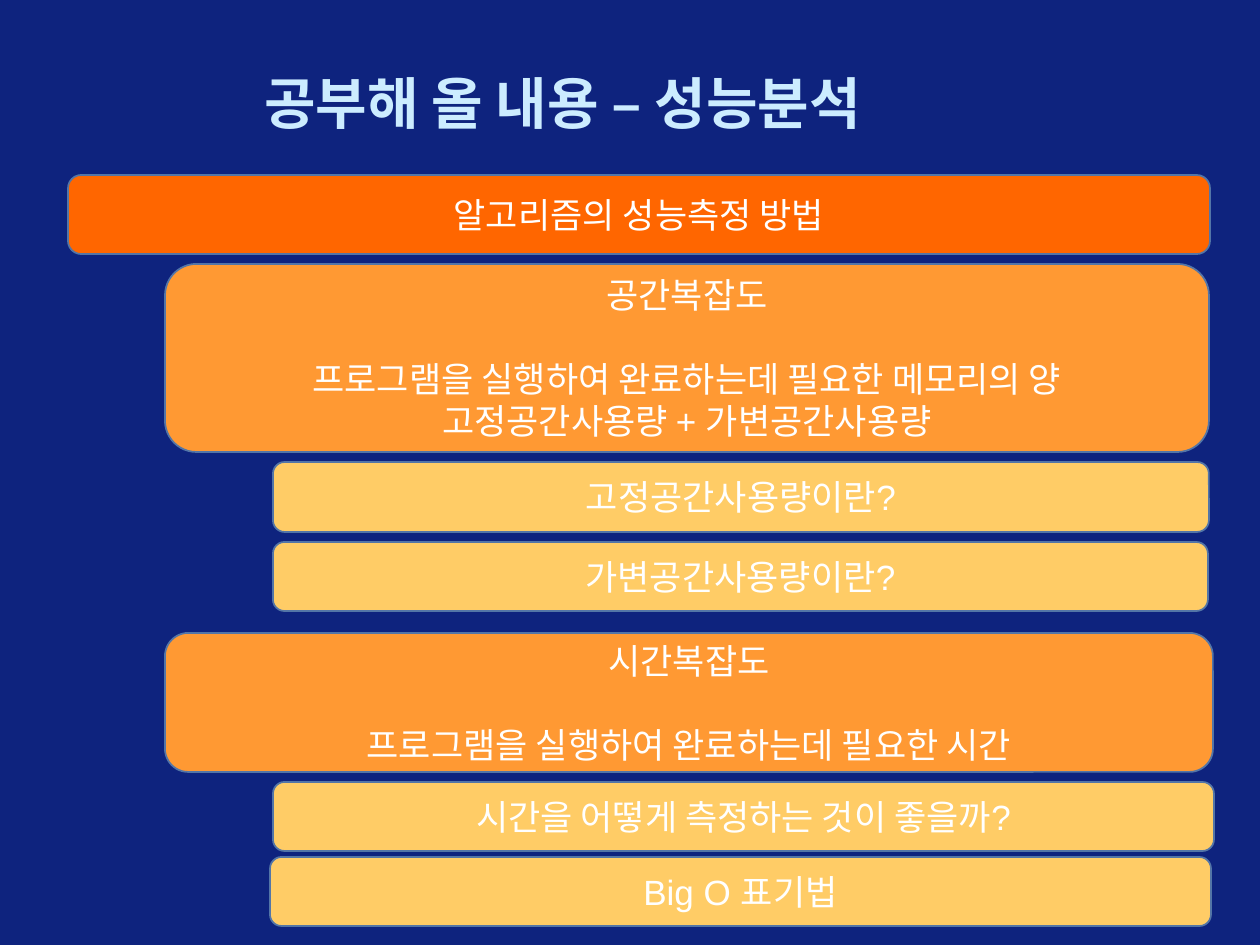
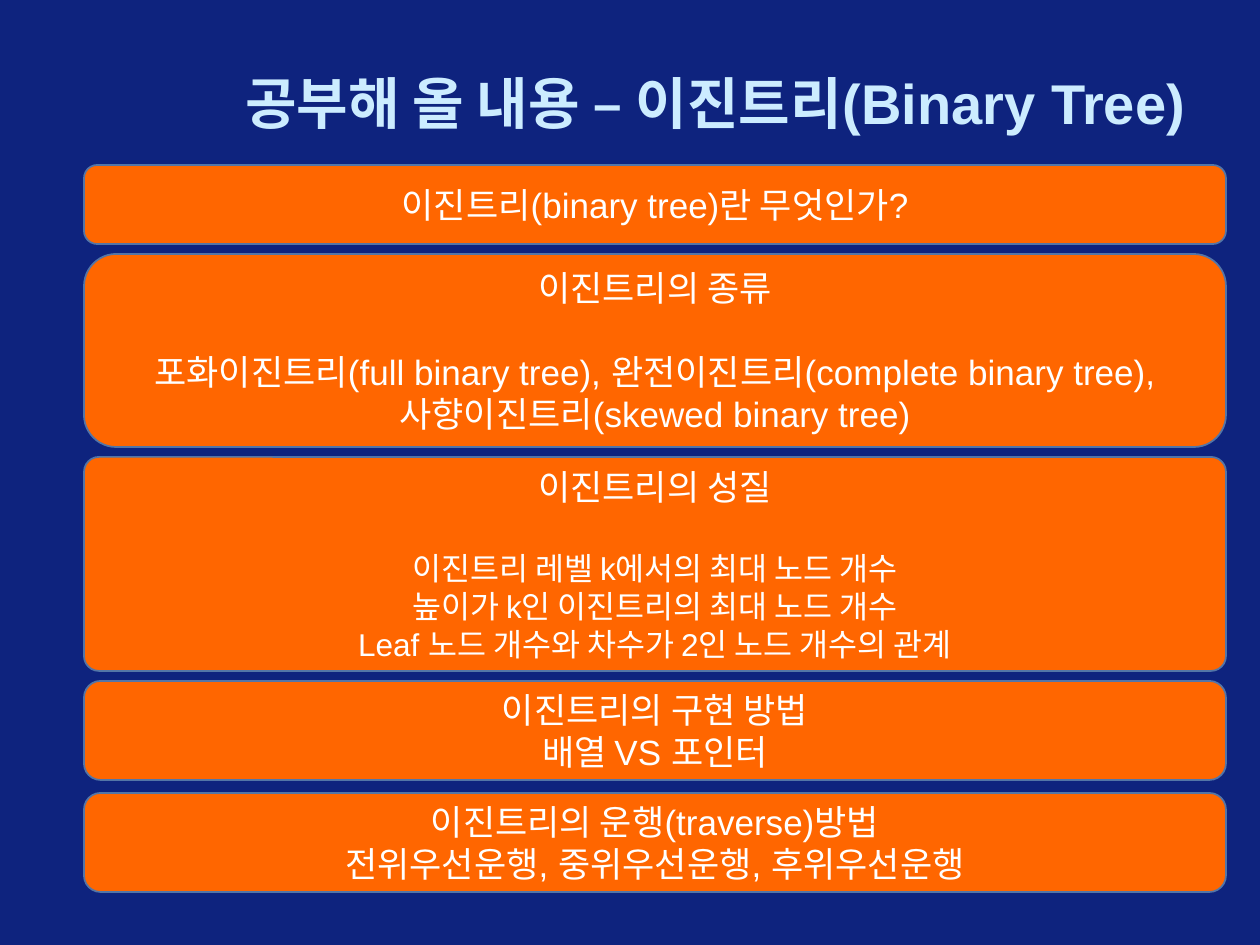
from pptx import Presentation
from pptx.dml.color import RGBColor
from pptx.enum.shapes import MSO_SHAPE
from pptx.enum.text import MSO_ANCHOR, PP_ALIGN
from pptx.util import Emu, Pt

PIXEL = 914400 // 126
FONT = "Arial"
NAVY = RGBColor(0x0E, 0x23, 0x7E)
PALE_BLUE = RGBColor(0xCC, 0xEC, 0xFF)
WHITE = RGBColor(0xFF, 0xFF, 0xFF)
OUTLINE = RGBColor(0x53, 0x75, 0xA7)
TOPIC = RGBColor(0xFF, 0x66, 0x00)
SUBTOPIC = RGBColor(0xFF, 0x99, 0x33)
QUESTION = RGBColor(0xFF, 0xCC, 0x66)
HEADING_GAP = Pt(24)


def add_line(paragraph, text, size, color, bold=False):
    """Write one run of text into a paragraph."""
    run = paragraph.add_run()
    run.text = text
    run.font.name = FONT
    run.font.size = Pt(size)
    run.font.bold = bold
    run.font.color.rgb = color


def add_box(slide, bounds, color, heading, details=(), gap=True, detail_size=20):
    """Add a rounded box with a heading and centred detail lines below it."""
    shape = slide.shapes.add_shape(
        MSO_SHAPE.ROUNDED_RECTANGLE, *[Emu(value * PIXEL) for value in bounds])
    shape.shadow.inherit = False
    shape.fill.solid()
    shape.fill.fore_color.rgb = color
    shape.line.color.rgb = OUTLINE
    shape.line.width = Pt(1)
    frame = shape.text_frame
    frame.word_wrap = True
    frame.vertical_anchor = MSO_ANCHOR.MIDDLE
    for index, text in enumerate([heading, *details]):
        paragraph = frame.paragraphs[0] if index == 0 else frame.add_paragraph()
        paragraph.alignment = PP_ALIGN.CENTER
        if index == 1 and gap:
            paragraph.space_before = HEADING_GAP
        add_line(paragraph, text, 20 if index == 0 else detail_size, WHITE)
    return shape


presentation = Presentation()
presentation.slide_width = Emu(1260 * PIXEL)
presentation.slide_height = Emu(945 * PIXEL)
background = presentation.slide_master.background.fill
background.solid()
background.fore_color.rgb = NAVY

# Slides with their titles
titles = [
    ("공부해 올 내용 – 성능분석", 252, 955),
    ("공부해 올 내용 – 이진트리(Binary Tree)", 233, 1003),
]
slides = []
for title, left, width in titles:
    slide = presentation.slides.add_slide(presentation.slide_layouts[6])
    title_box = slide.shapes.add_textbox(
        *[Emu(value * PIXEL) for value in (left, 63, width, 78)])
    frame = title_box.text_frame
    frame.word_wrap = True
    frame.vertical_anchor = MSO_ANCHOR.MIDDLE
    add_line(frame.paragraphs[0], title, 32, PALE_BLUE, bold=True)
    slides.append(slide)
performance_slide, tree_slide = slides

# Performance analysis: boxes indented by level
performance_boxes = [
    ((68, 175, 1142, 79), TOPIC, "알고리즘의 성능측정 방법", []),
    ((165, 264, 1044, 188), SUBTOPIC, "공간복잡도",
     ["프로그램을 실행하여 완료하는데 필요한 메모리의 양",
      "고정공간사용량 + 가변공간사용량"]),
    ((273, 462, 936, 70), QUESTION, "고정공간사용량이란?", []),
    ((273, 542, 935, 69), QUESTION, "가변공간사용량이란?", []),
    ((165, 633, 1048, 139), SUBTOPIC, "시간복잡도",
     ["프로그램을 실행하여 완료하는데 필요한 시간"]),
    ((273, 782, 941, 69), QUESTION, "시간을 어떻게 측정하는 것이 좋을까?", []),
    ((270, 857, 941, 69), QUESTION, "Big O 표기법", []),
]
for bounds, color, heading, details in performance_boxes:
    add_box(performance_slide, bounds, color, heading, details)

# Binary tree: one column of equally wide boxes
tree_boxes = [
    (165, 79, "이진트리(binary tree)란 무엇인가?", [], False, 20),
    (254, 193, "이진트리의 종류",
     ["포화이진트리(full binary tree), 완전이진트리(complete binary tree),",
      "사향이진트리(skewed binary tree)"], True, 20),
    (457, 214, "이진트리의 성질",
     ["이진트리 레벨 k에서의 최대 노드 개수",
      "높이가 k인 이진트리의 최대 노드 개수",
      "Leaf 노드 개수와 차수가 2인 노드 개수의 관계"], True, 18),
    (681, 99, "이진트리의 구현 방법", ["배열 VS 포인터"], False, 20),
    (793, 99, "이진트리의 운행(traverse)방법",
     ["전위우선운행, 중위우선운행, 후위우선운행"], False, 20),
]
for top, height, heading, details, gap, detail_size in tree_boxes:
    box = add_box(tree_slide, (84, top, 1142, height), TOPIC,
                  heading, details, gap, detail_size)
    if detail_size == 18:
        box.adjustments[0] = 0.07

presentation.save("out.pptx")
